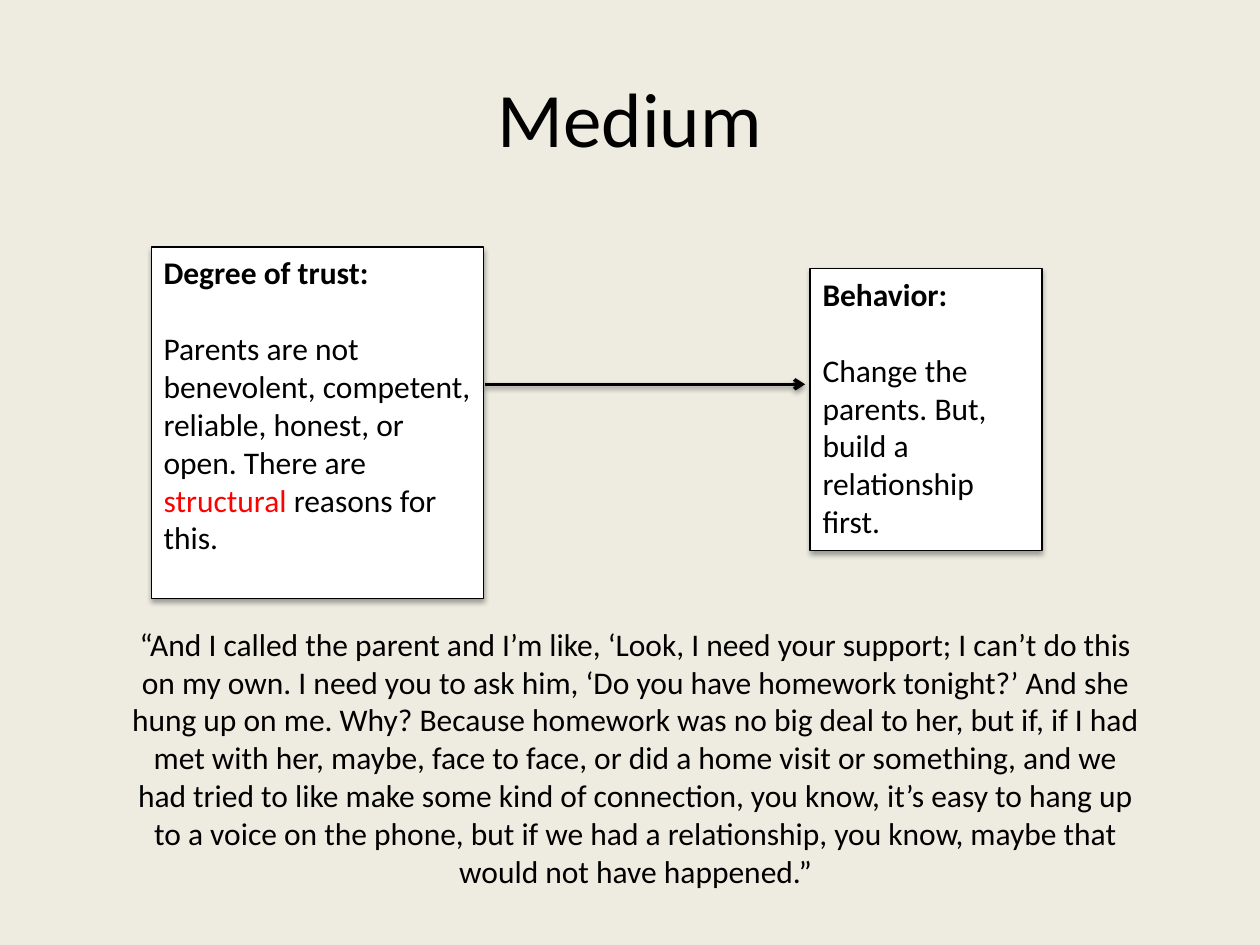
from lxml.etree import SubElement
from pptx import Presentation
from pptx.dml.color import RGBColor
from pptx.enum.shapes import MSO_CONNECTOR as Link, MSO_SHAPE as Shape
from pptx.enum.text import MSO_ANCHOR as Anchor, PP_ALIGN as Align
from pptx.oxml.ns import qn
from pptx.util import Inches, Pt

BLACK = RGBColor(0x00, 0x00, 0x00)
WHITE = RGBColor(0xFF, 0xFF, 0xFF)
RED = RGBColor(0xFF, 0x00, 0x00)
CREAM = RGBColor(0xEE, 0xEC, 0xE1)

QUOTE = (
    "“And I called the parent and I’m like, ‘Look, I need your support; "
    "I can’t do this on my own. I need you to ask him, ‘Do you have homework "
    "tonight?’ And she hung up on me. Why? Because homework was no big deal "
    "to her, but if, if I had met with her, maybe, face to face, or did a home "
    "visit or something, and we had tried to like make some kind of connection, "
    "you know, it’s easy to hang up to a voice on the phone, but if we had a "
    "relationship, you know, maybe that would not have happened.”"
)
TRUST = [
    ("Parents are not benevolent, competent, reliable, honest, or open. "
     "There are ", BLACK),
    ("structural", RED),
    (" reasons for this.", BLACK),
]
CHANGE = [("Change the parents. But, build a relationship first.", BLACK)]


class Board:
    face = "Calibri"
    size = 18
    gap = 22

    def __init__(self, slide):
        self.slide = slide
        slide.background.fill.solid()
        slide.background.fill.fore_color.rgb = CREAM

    def runs(self, para, parts, size=size, bold=False):
        for words, color in parts:
            run = para.add_run()
            run.text = words
            run.font.name = self.face
            run.font.size = Pt(size)
            run.font.bold = bold
            run.font.color.rgb = color

    def shade(self, item, alpha, dist):
        group = SubElement(item.element.spPr, qn("a:effectLst"))
        cast = SubElement(group, qn("a:outerShdw"), blurRad=str(Pt(3.1)),
                          dist=str(Pt(dist)), dir="5400000", rotWithShape="0")
        tone = SubElement(cast, qn("a:srgbClr"), val=str(BLACK))
        SubElement(tone, qn("a:alpha"), val=str(alpha * 1000))

    def text(self, area, words, size=size, anchor=Anchor.TOP):
        frame = self.slide.shapes.add_textbox(*map(Inches, area)).text_frame
        frame.word_wrap = True
        frame.vertical_anchor = anchor
        para = frame.paragraphs[0]
        para.alignment = Align.CENTER
        self.runs(para, [(words, BLACK)], size)

    def card(self, area, head, parts):
        box = self.slide.shapes.add_shape(Shape.RECTANGLE, *map(Inches, area))
        box.fill.solid()
        box.fill.fore_color.rgb = WHITE
        box.line.color.rgb = BLACK
        box.line.width = Pt(0.75)
        self.shade(box, 35, 1.8)
        frame = box.text_frame
        frame.word_wrap = True
        frame.vertical_anchor = Anchor.TOP
        top, body = frame.paragraphs[0], frame.add_paragraph()
        top.alignment = body.alignment = Align.LEFT
        top.space_after = Pt(self.gap)
        self.runs(top, [(head, BLACK)], bold=True)
        self.runs(body, parts)

    def arrow(self, left, right, y):
        ends = map(Inches, (left, y, right, y))
        link = self.slide.shapes.add_connector(Link.STRAIGHT, *ends)
        link.line.color.rgb = BLACK
        link.line.width = Pt(2)
        line = link.element.spPr.find(qn("a:ln"))
        SubElement(line, qn("a:tailEnd"), type="arrow")
        self.shade(link, 38, 1.6)


def main():
    deck = Presentation()
    deck.slide_width = Inches(10)
    deck.slide_height = Inches(7.5)
    board = Board(deck.slides.add_slide(deck.slide_layouts[6]))
    board.text((0.5, 0.3, 9, 1.25), "Medium", 44, Anchor.MIDDLE)
    board.card((1.2, 1.96, 2.64, 2.79), "Degree of trust:", TRUST)
    board.card((6.43, 2.13, 1.84, 2.24), "Behavior:", CHANGE)
    board.arrow(3.85, 6.39, 3.05)
    board.text((0.94, 4.91, 8.21, 2.52), QUOTE)
    deck.save("out.pptx")


if __name__ == "__main__":
    main()
